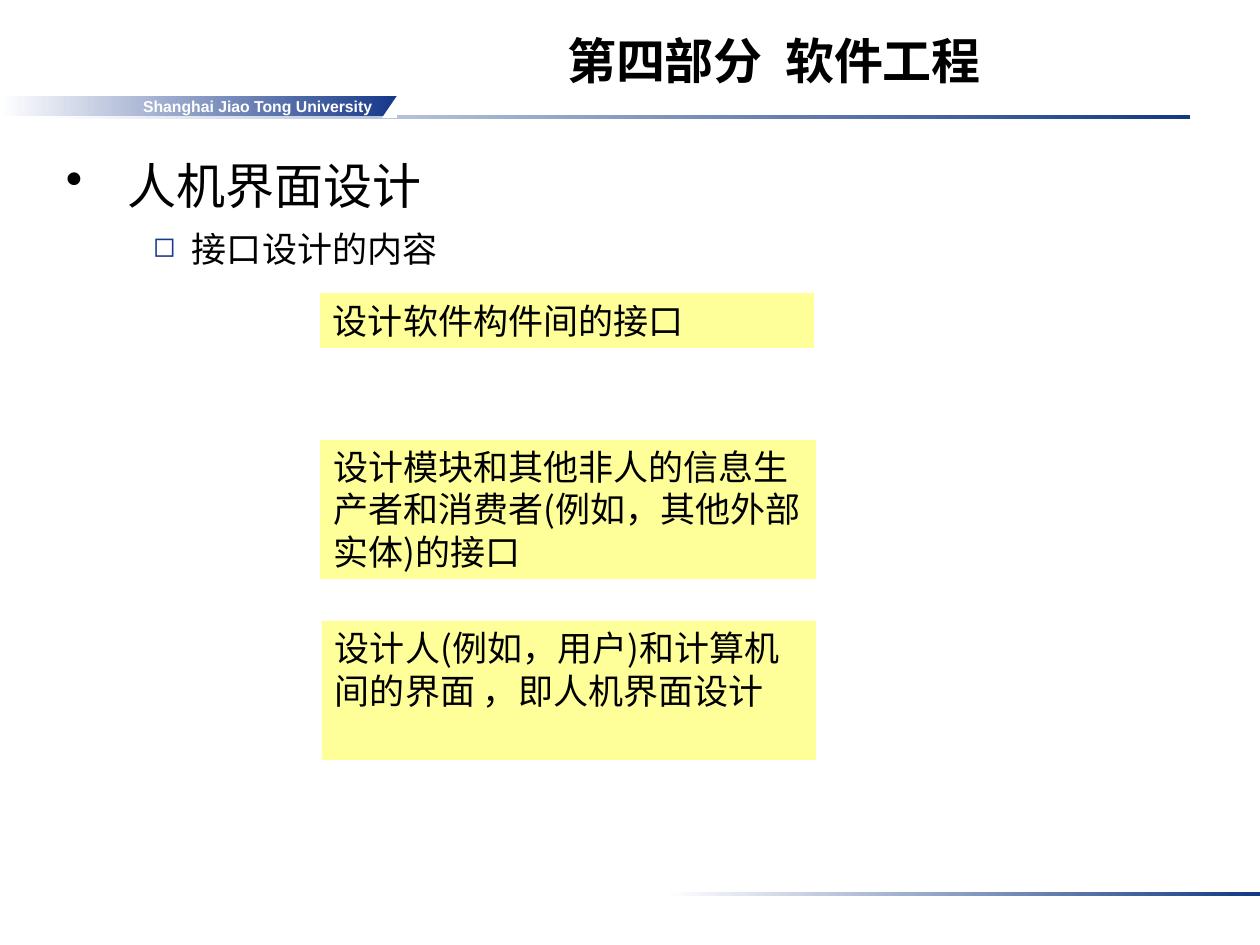
from lxml import etree
from pptx import Presentation
from pptx.dml.color import RGBColor
from pptx.enum.shapes import MSO_SHAPE
from pptx.enum.text import MSO_ANCHOR, MSO_AUTO_SIZE, PP_ALIGN
from pptx.oxml.ns import qn
from pptx.util import Emu, Pt

RECT, TRIANGLE = MSO_SHAPE.RECTANGLE, MSO_SHAPE.RIGHT_TRIANGLE
TOP, MIDDLE, BOTTOM = MSO_ANCHOR.TOP, MSO_ANCHOR.MIDDLE, MSO_ANCHOR.BOTTOM
LEFT, CENTER, RIGHT = PP_ALIGN.LEFT, PP_ALIGN.CENTER, PP_ALIGN.RIGHT
COLORS = {"white": "FFFFFF", "black": "000000", "line": "133984",
          "band": "16388A", "note": "FFFF99"}
LATIN, CJK = "Arial", "Noto Sans CJK SC"


def px(n):
    return Emu(round(n * 914400 / 126))


def rgb(name):
    return RGBColor.from_string(COLORS[name])


class Deck:
    def __init__(self, width, height):
        self.prs = Presentation()
        self.prs.slide_width, self.prs.slide_height = px(width), px(height)
        self.s = self.prs.slides.add_slide(self.prs.slide_layouts[5])

    def run(self, p, text, size, font=CJK, color="black", bold=False):
        r = p.add_run()
        r.text = text
        f = r.font
        f.size, f.bold, f.name = Pt(size), bold, font
        f.color.rgb = rgb(color)
        etree.SubElement(r._r.get_or_add_rPr(), qn("a:ea"), typeface=CJK)

    def frame(self, sp, anchor=TOP, align=LEFT, right=13):
        tf = sp.text_frame
        tf.word_wrap, tf.auto_size = True, MSO_AUTO_SIZE.NONE
        tf.vertical_anchor = anchor
        tf.margin_left, tf.margin_right = px(13), px(right)
        tf.margin_top = tf.margin_bottom = px(6)
        tf.paragraphs[0].alignment = align
        return tf

    def shape(self, kind, box, fill):
        sp = self.s.shapes.add_shape(kind, *map(px, box))
        sp.shadow.inherit = False
        sp.line.fill.background()
        if fill:
            sp.fill.solid()
            sp.fill.fore_color.rgb = rgb(fill)
        return sp

    def fade(self, box, color):
        sp = self.shape(RECT, box, None)
        sp.fill.gradient()
        sp.fill.gradient_angle = 0
        for stop, name, pos in zip(sp.fill.gradient_stops, ("white", color), (0, 1)):
            stop.color.rgb, stop.position = rgb(name), pos
        return sp

    def title(self, box, text):
        sp = self.s.shapes.title
        sp.left, sp.top, sp.width, sp.height = map(px, box)
        p = self.frame(sp, BOTTOM, CENTER).paragraphs[0]
        self.run(p, text, 28, LATIN, bold=True)

    def bullets(self, box, items):
        tf = self.frame(self.s.shapes.add_textbox(*map(px, box)))
        for i, (level, text, size, mark, color, scale, margin, hang, before) in enumerate(items):
            p = tf.add_paragraph() if i else tf.paragraphs[0]
            p.level, p.line_spacing, p.space_before = level, 1.1, Pt(before)
            pPr = p._p.get_or_add_pPr()
            pPr.set("marL", str(px(margin)))
            pPr.set("indent", str(px(-hang)))
            clr = etree.SubElement(pPr, qn("a:buClr"))
            etree.SubElement(clr, qn("a:srgbClr"), val=COLORS[color])
            etree.SubElement(pPr, qn("a:buSzPct"), val=str(scale * 1000))
            etree.SubElement(pPr, qn("a:buChar"), char=mark)
            self.run(p, text, size)

    def note(self, box, text):
        sp = self.shape(RECT, box, "note")
        self.run(self.frame(sp).paragraphs[0], text, 20)


def main():
    d = Deck(1260, 945)

    # Header and footer rules
    d.fade((39, 115, 1151, 4), "line")
    d.fade((665, 892, 595, 4), "line")

    # University band with its slanted end
    band = d.fade((0, 96, 397, 20), "band")
    p = d.frame(band, MIDDLE, RIGHT, right=25).paragraphs[0]
    d.run(p, "Shanghai Jiao Tong University", 9, LATIN, "white", True)
    corner = d.shape(TRIANGLE, (382, 96, 15, 22), "white")
    corner._element.spPr.xfrm.set("flipH", "1")

    # Title and outline
    d.title((326, 0, 896, 95), "第四部分  软件工程")
    d.bullets((53, 144, 1166, 718), [
        (0, "人机界面设计", 28, "•", "black", 100, 62, 62, 0),
        (1, "接口设计的内容", 20, "◻", "band", 80, 126, 39, 5),
    ])

    # Interface notes
    for box, text in [
        ((320, 293, 494, 55), "设计软件构件间的接口"),
        ((320, 440, 496, 139), "设计模块和其他非人的信息生产者和消费者(例如，其他外部实体)的接口"),
        ((322, 621, 494, 139), "设计人(例如，用户)和计算机间的界面 ，即人机界面设计"),
    ]:
        d.note(box, text)

    d.prs.save("out.pptx")


if __name__ == "__main__":
    main()
